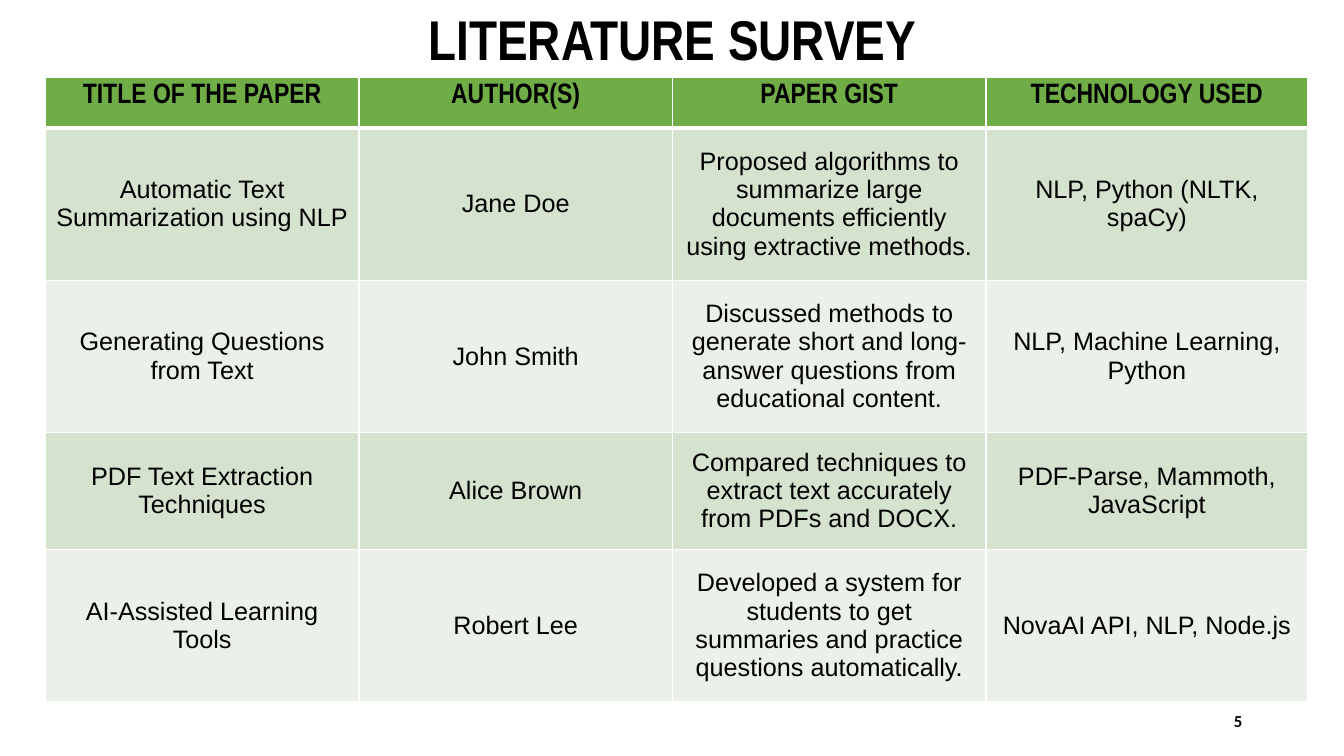
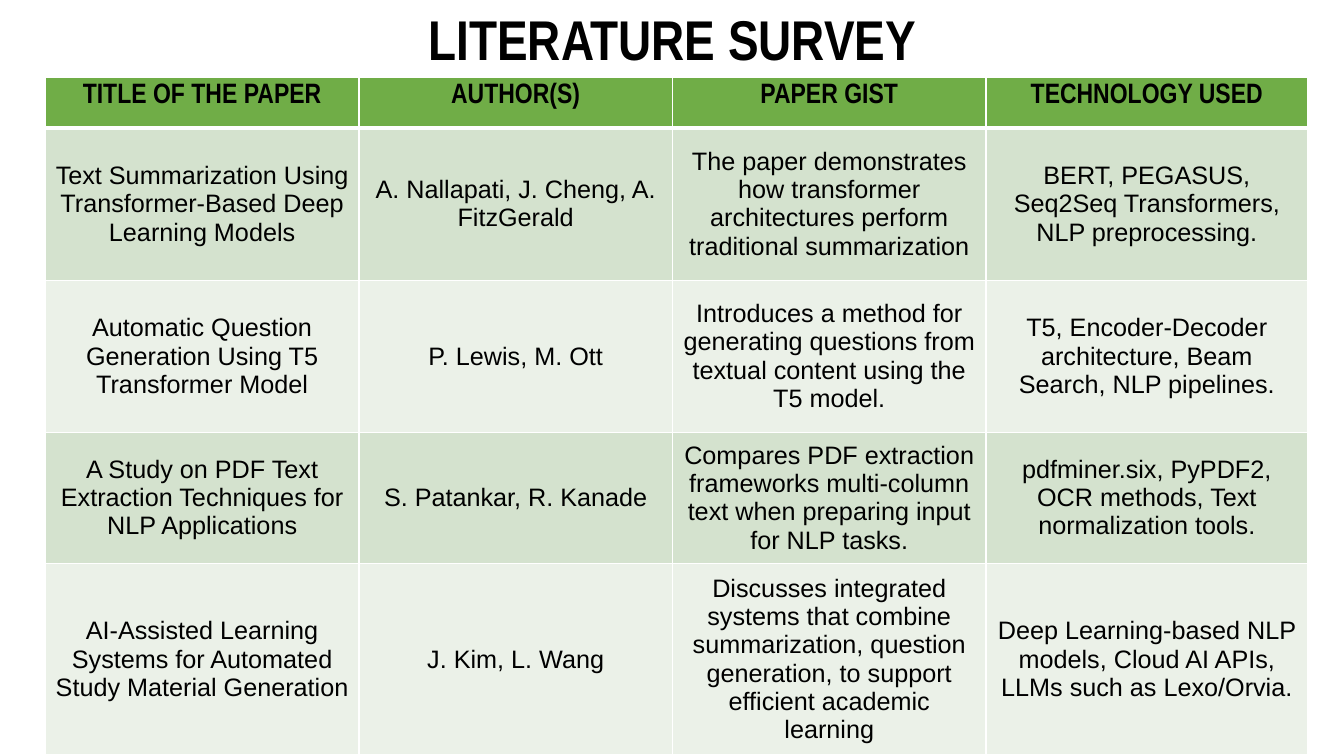
from lxml import etree
from pptx import Presentation
from pptx.dml.color import RGBColor
from pptx.enum.text import MSO_ANCHOR, PP_ALIGN
from pptx.oxml.ns import qn
from pptx.util import Emu, Pt

TOP, MIDDLE = MSO_ANCHOR.TOP, MSO_ANCHOR.MIDDLE
CENTER, RIGHT = PP_ALIGN.CENTER, PP_ALIGN.RIGHT

# Shared look: 100 px to the inch
EMU_PER_PX = 9144
SLIDE_SIZE = (1333, 750)
COLORS = {
    "text": "000000",
    "border": "FFFFFF",
    "header": "70AD47",
    "band_dark": "D4E2CE",
    "band_light": "EBF1E8",
}
BODY_FONT, HEADING_FONT, NUMBER_FONT = "Arial", "Arial Narrow", "Calibri"
TITLE_BOX = (8, 0, 1318, 77)
NUMBER_BOX = (942, 695, 300, 40)
TABLE_ORIGIN = (45, 77)
COLUMN_WIDTHS = (311, 311, 311, 319)
ROW_HEIGHTS = (50, 151, 151, 116, 151)
THIN, THICK = 1, 3

# Content
TITLE = "LITERATURE SURVEY"
HEADINGS = ("TITLE OF THE PAPER", "AUTHOR(S)", "PAPER GIST", "TECHNOLOGY USED")
GENERAL_PAPERS = (
    ("Automatic Text Summarization using NLP", "Jane Doe",
     "Proposed algorithms to summarize large documents efficiently using extractive methods.",
     "NLP, Python (NLTK, spaCy)"),
    ("Generating Questions from Text", "John Smith",
     "Discussed methods to generate short and long-answer questions from educational content.",
     "NLP, Machine Learning, Python"),
    ("PDF Text Extraction Techniques", "Alice Brown",
     "Compared techniques to extract text accurately from PDFs and DOCX.",
     "PDF-Parse, Mammoth, JavaScript"),
    ("AI-Assisted Learning Tools", "Robert Lee",
     "Developed a system for students to get summaries and practice questions automatically.",
     "NovaAI API, NLP, Node.js"),
)
TRANSFORMER_PAPERS = (
    ("Text Summarization Using Transformer-Based Deep Learning Models",
     "A. Nallapati, J. Cheng, A. FitzGerald",
     "The paper demonstrates how transformer architectures perform traditional summarization",
     "BERT, PEGASUS, Seq2Seq Transformers, NLP preprocessing."),
    ("Automatic Question Generation Using T5 Transformer Model", "P. Lewis, M. Ott",
     "Introduces a method for generating questions from textual content using the T5 model.",
     "T5, Encoder-Decoder architecture, Beam Search, NLP pipelines."),
    ("A Study on PDF Text Extraction Techniques for NLP Applications",
     "S. Patankar, R. Kanade",
     "Compares PDF extraction frameworks multi-column text when preparing input for NLP tasks.",
     "pdfminer.six, PyPDF2, OCR methods, Text normalization tools."),
    ("AI-Assisted Learning Systems for Automated Study Material Generation",
     "J. Kim, L. Wang",
     "Discusses integrated systems that combine summarization, question generation, "
     "to support efficient academic learning",
     "Deep Learning-based NLP models, Cloud AI APIs, LLMs such as Lexo/Orvia."),
)


def px(length):
    return Emu(length * EMU_PER_PX)


def rgb(name):
    return RGBColor.from_string(COLORS[name])


def write_text(frame, text, size=18, font=BODY_FONT, bold=False, align=CENTER):
    paragraph = frame.paragraphs[0]
    paragraph.alignment = align
    run = paragraph.add_run()
    run.text = text
    run.font.size = Pt(size)
    run.font.name = font
    run.font.bold = bold
    run.font.color.rgb = rgb("text")


def add_text_box(slide, box, text, anchor=TOP, **text_format):
    frame = slide.shapes.add_textbox(*map(px, box)).text_frame
    frame.word_wrap = True
    frame.vertical_anchor = anchor
    write_text(frame, text, **text_format)


def set_borders(cell, top, bottom):
    """Border lines must come before the fill in the cell properties."""
    properties = cell._tc.get_or_add_tcPr()
    widths = {"a:lnL": THIN, "a:lnR": THIN, "a:lnT": top, "a:lnB": bottom}
    for position, (tag, width) in enumerate(widths.items()):
        line = etree.Element(qn(tag), w=str(Pt(width)))
        fill = etree.SubElement(line, qn("a:solidFill"))
        etree.SubElement(fill, qn("a:srgbClr"), val=COLORS["border"])
        properties.insert(position, line)


def format_cell(cell, text, row_index):
    is_header = row_index == 0
    cell.fill.solid()
    if is_header:
        cell.fill.fore_color.rgb = rgb("header")
        cell.vertical_anchor = TOP
        write_text(cell.text_frame, text, size=20, font=HEADING_FONT, bold=True)
    else:
        cell.fill.fore_color.rgb = rgb("band_dark" if row_index % 2 else "band_light")
        cell.vertical_anchor = MIDDLE
        write_text(cell.text_frame, text)
    set_borders(cell, top=THICK if row_index == 1 else THIN,
                bottom=THICK if is_header else THIN)


def add_survey_table(slide, papers):
    size = (sum(COLUMN_WIDTHS), sum(ROW_HEIGHTS))
    table = slide.shapes.add_table(len(ROW_HEIGHTS), len(COLUMN_WIDTHS),
                                   *map(px, TABLE_ORIGIN + size)).table
    for column, width in zip(table.columns, COLUMN_WIDTHS):
        column.width = px(width)
    for row, height in zip(table.rows, ROW_HEIGHTS):
        row.height = px(height)
    for row_index, texts in enumerate((HEADINGS, *papers)):
        for column_index, text in enumerate(texts):
            format_cell(table.cell(row_index, column_index), text, row_index)


def add_survey_slide(presentation, papers, number=None):
    slide = presentation.slides.add_slide(presentation.slide_layouts[6])
    if number:
        add_text_box(slide, NUMBER_BOX, number, anchor=MIDDLE, size=12,
                     font=NUMBER_FONT, bold=True, align=RIGHT)
    add_text_box(slide, TITLE_BOX, TITLE, size=40, font=HEADING_FONT, bold=True)
    add_survey_table(slide, papers)


def main():
    presentation = Presentation()
    presentation.slide_width, presentation.slide_height = map(px, SLIDE_SIZE)
    add_survey_slide(presentation, GENERAL_PAPERS, number="5")
    add_survey_slide(presentation, TRANSFORMER_PAPERS)
    presentation.save("out.pptx")


if __name__ == "__main__":
    main()
